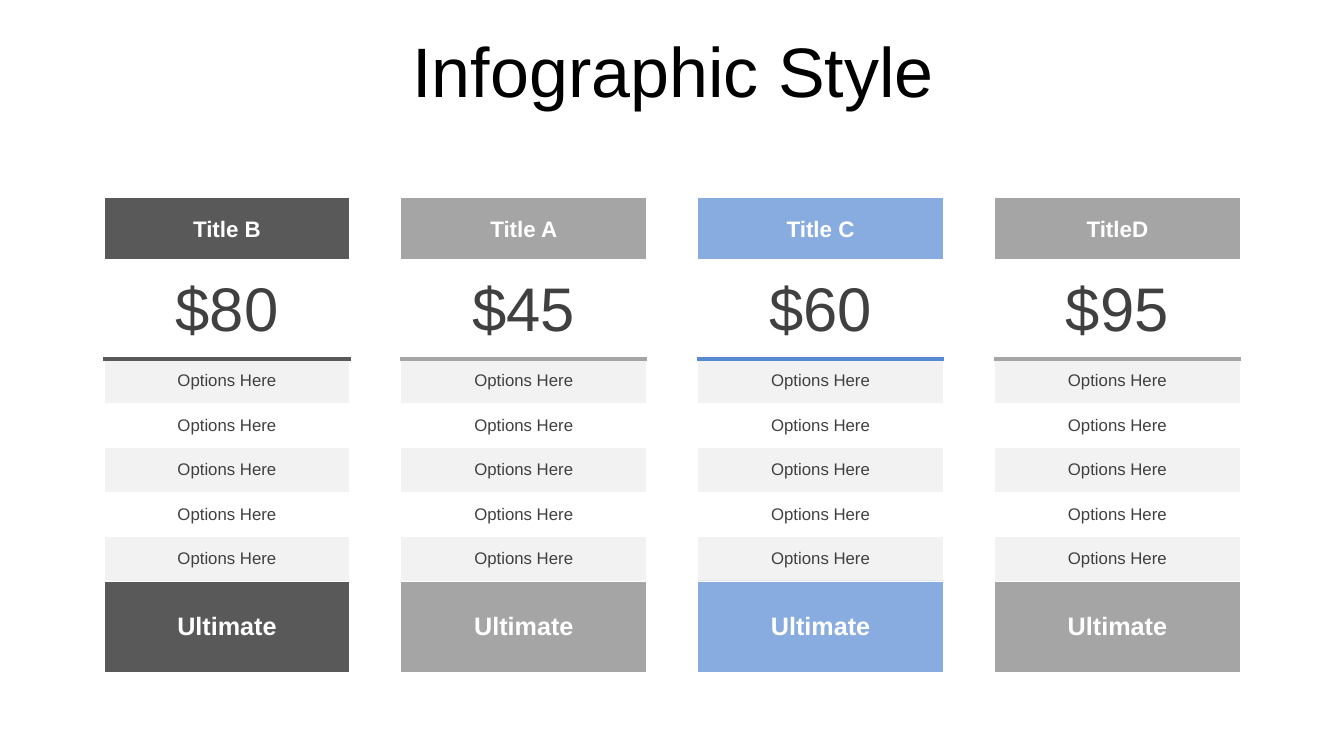
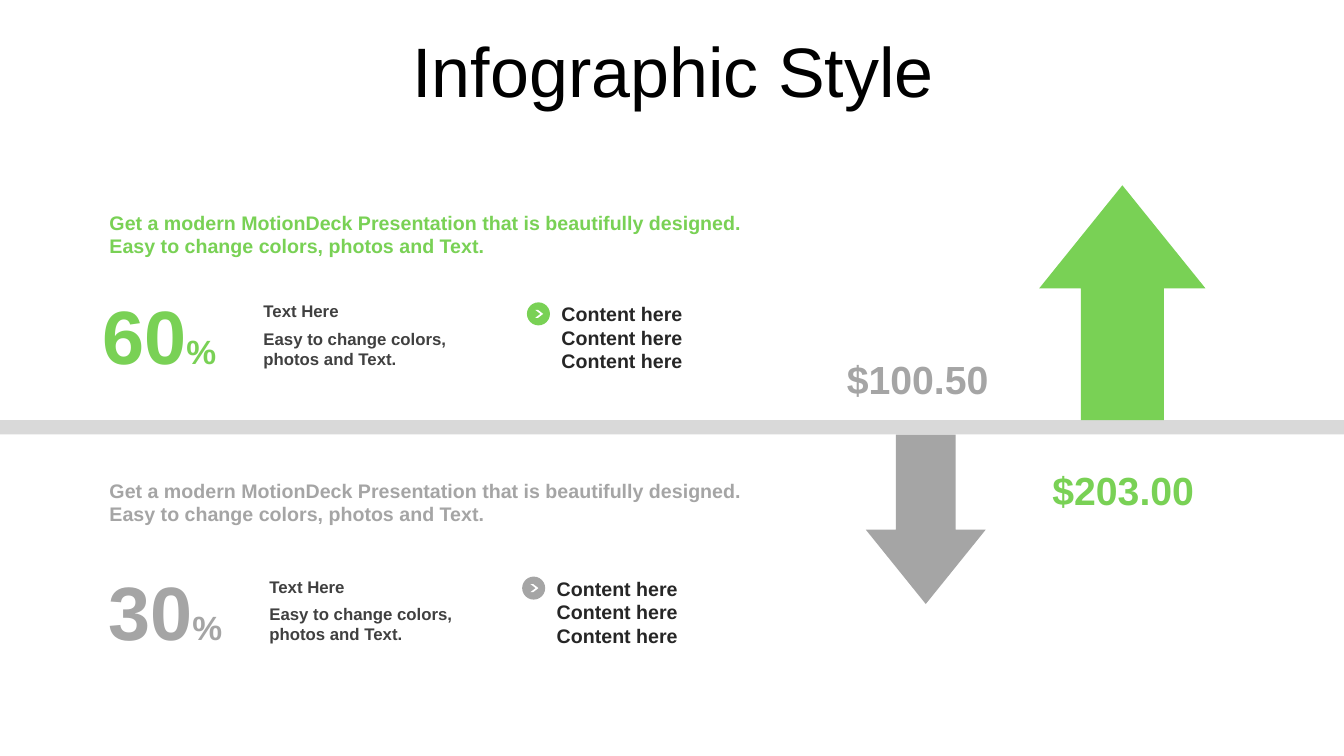
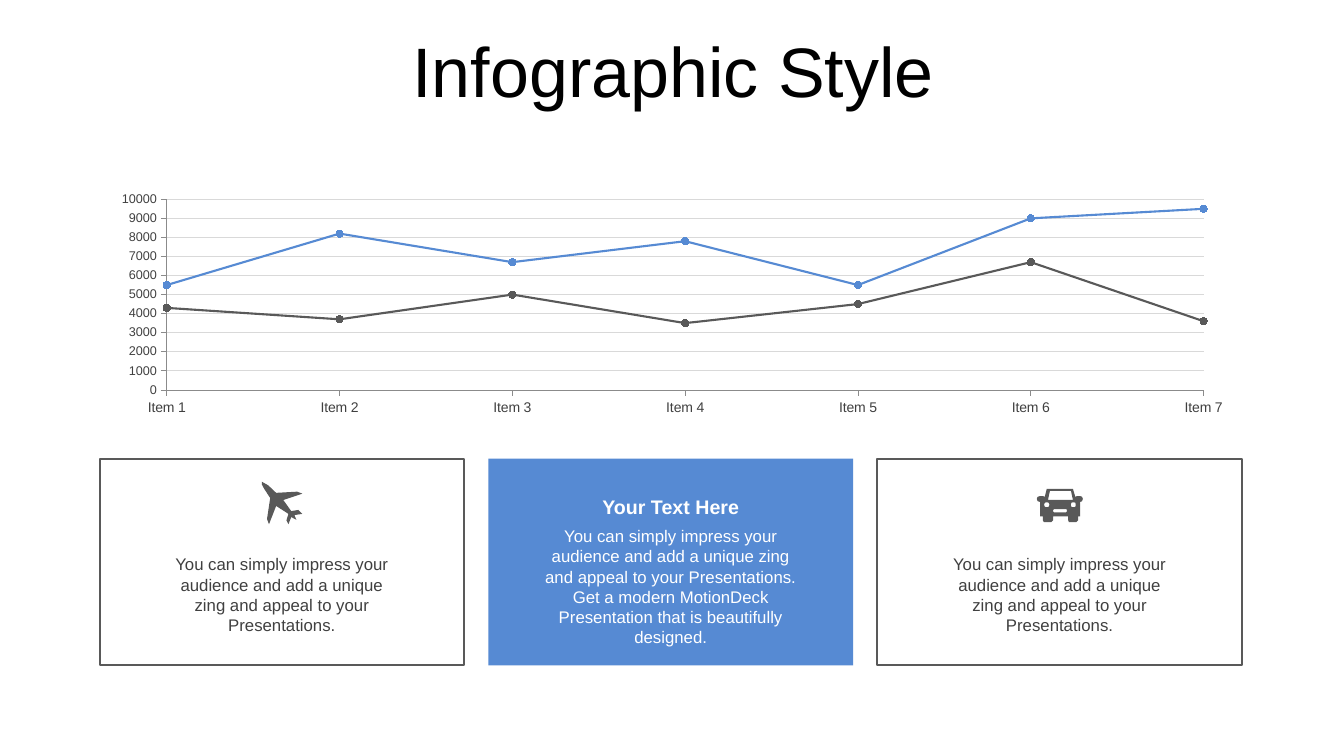
from math import cos, pi, sin

from lxml.etree import SubElement
from pptx import Presentation
from pptx.chart.data import CategoryChartData
from pptx.dml.color import RGBColor
from pptx.enum.chart import XL_CHART_TYPE, XL_MARKER_STYLE, XL_TICK_MARK
from pptx.enum.shapes import MSO_SHAPE
from pptx.enum.text import MSO_ANCHOR, MSO_AUTO_SIZE, PP_ALIGN
from pptx.oxml.ns import qn
from pptx.util import Cm, Pt

FONT = "Arial"
COLORS = {
    "black": "000000", "ink": "262626", "text": "404040", "dark": "595959",
    "axis": "8B8B8B", "gray": "A5A5A5", "band": "D9D9D9", "stripe": "F2F2F2",
    "white": "FFFFFF", "blue": "568AD3", "green": "79D155",
}
SLIDE_W, SLIDE_H = 33.87, 19.05
TITLE = "Infographic Style"

# Pricing: heading, price, color, opacity of the heading and footer fill
PLANS = [
    ("Title B", "$80", "dark", 100),
    ("Title A", "$45", "gray", 100),
    ("Title C", "$60", "blue", 70),
    ("TitleD", "$95", "gray", 100),
]
OPTIONS = ["Options Here"] * 5
PLAN_FOOTER = "Ultimate"

# Comparison: percentage, color, lead top, corner of the percentage, corner of the badge
PANELS = [
    ("60", "green", 5.18, (2.21, 7.16), (13.28, 7.62)),
    ("30", "gray", 11.94, (2.36, 14.1), (13.16, 14.53)),
]
LEAD = ("Get a modern MotionDeck Presentation that is beautifully designed. "
        "Easy to change colors, photos and Text.")
STAT_LABEL = "Text Here"
STAT_NOTE = "Easy to change colors, photos and Text."
CONTENTS = ["Content here"] * 3
ARROWS = [
    ("green", (26.19, 4.67, 4.19, 5.92), 0),
    ("gray", (21.82, 10.95, 3.02, 4.27), 180),
]
AMOUNTS = [("$100.50", "gray", (20.7, 8.81)), ("$203.00", "green", (25.88, 11.61))]

# Trend
ITEMS = [f"Item {n}" for n in range(1, 8)]
TRENDS = [
    ("Series 1", "dark", (4300, 3700, 5000, 3500, 4500, 6700, 3600)),
    ("Series 2", "blue", (5500, 8200, 6700, 7800, 5500, 9000, 9500)),
]
PITCH = ("You can simply impress your audience and add a unique zing "
         "and appeal to your Presentations.")
HIGHLIGHT_HEADING = "Your Text Here"
HIGHLIGHT = PITCH + " Get a modern MotionDeck Presentation that is beautifully designed."


def headlight(x, y, radius=6.5, steps=16):
    return [(x + radius * cos(2 * pi * k / steps), y + radius * sin(2 * pi * k / steps))
            for k in range(steps)]


# Icon outlines, in hundredths of a centimetre
PLANE = [[
    (104, 81), (84, 84), (89, 96), (76, 89), (69, 107), (64, 97), (69, 81),
    (38, 61), (20, 107), (15, 94), (23, 41), (8, 18), (2, 7), (2, 0), (18, 9),
    (38, 28), (91, 25), (104, 30), (56, 46), (76, 74), (94, 71),
]]
CAR = [
    [(25, 0), (91, 0), (97, 20), (102, 18), (109, 18), (114, 20), (116, 25),
     (114, 31), (109, 33), (109, 69), (104, 69), (104, 79), (99, 84), (81, 84),
     (79, 79), (79, 69), (41, 69), (41, 79), (36, 84), (18, 84), (15, 79),
     (15, 69), (8, 69), (8, 33), (2, 31), (0, 25), (2, 20), (8, 18), (15, 18),
     (20, 20)],
    [(33, 5), (28, 28), (91, 28), (86, 5)],
    [(43, 51), (74, 51), (76, 53), (76, 57), (74, 59), (43, 59), (41, 57), (41, 53)],
    headlight(25, 40),
    headlight(92, 40),
]
ICONS = {0: (PLANE, 1.05, 12.14), 2: (CAR, 1.15, 12.32)}  # outlines, width, top


def rgb(name):
    return RGBColor.from_string(COLORS[name])


def write(frame, paragraphs, color, bold=False, align=PP_ALIGN.LEFT):
    """Fill a text frame; each paragraph is a list of (text, size) runs."""
    for index, runs in enumerate(paragraphs):
        paragraph = frame.add_paragraph() if index else frame.paragraphs[0]
        paragraph.alignment = align
        for text, size in runs:
            run = paragraph.add_run()
            run.text = text
            run.font.name = FONT
            run.font.size = Pt(size)
            run.font.bold = bold
            run.font.color.rgb = rgb(color)


def add_text(slide, box, paragraphs, color, bold=False, align=PP_ALIGN.LEFT,
             anchor=MSO_ANCHOR.TOP):
    frame = slide.shapes.add_textbox(*map(Cm, box)).text_frame
    frame.word_wrap = True
    frame.vertical_anchor = anchor
    write(frame, paragraphs, color, bold, align)


def paint(shape, fill, line=None):
    shape.shadow.inherit = False
    shape.fill.solid()
    shape.fill.fore_color.rgb = rgb(fill)
    if line:
        shape.line.color.rgb = rgb(line)
        shape.line.width = Pt(1.5)
    else:
        shape.line.fill.background()


def add_block(slide, preset, box, fill, line=None, adjustments=()):
    block = slide.shapes.add_shape(preset, *map(Cm, box))
    for index, value in enumerate(adjustments):
        block.adjustments[index] = value
    paint(block, fill, line)
    return block


def add_titled_slide(deck):
    slide = deck.slides.add_slide(deck.slide_layouts[5])
    title = slide.shapes.title
    title.left, title.top, title.width, title.height = map(Cm, (0.89, 0.94, 32.16, 2.01))
    frame = title.text_frame
    frame.auto_size = MSO_AUTO_SIZE.NONE
    frame.word_wrap = True
    frame.vertical_anchor = MSO_ANCHOR.MIDDLE
    frame.margin_top = Cm(0.25)
    write(frame, [[(TITLE, 50)]], "black", align=PP_ALIGN.CENTER)
    frame.paragraphs[0].line_spacing = 0.7
    return slide


def style_cell(cell, fill, opacity, top, bottom):
    """Set the fill and the (color, points) borders above and below."""
    cell.fill.solid()
    cell.fill.fore_color.rgb = rgb(fill)
    properties = cell._tc.get_or_add_tcPr()
    if opacity < 100:
        SubElement(properties.find(".//" + qn("a:srgbClr")), qn("a:alpha"),
                   val=str(opacity * 1000))
    for position, (tag, (color, points)) in enumerate((("a:lnT", top), ("a:lnB", bottom))):
        border = SubElement(properties, qn(tag), w=str(Pt(points)))
        SubElement(SubElement(border, qn("a:solidFill")), qn("a:srgbClr"), val=COLORS[color])
        properties.insert(position, border)


def add_plan(slide, left, heading, price, color, opacity):
    thin, edge = ("white", 0.75), ("white", 4.48)
    rule = (color, 3)
    # text, size, text color, bold, fill, opacity, top border, bottom border, height
    rows = [
        (heading, 16, "white", True, color, opacity, ("white", 0.96), edge, 1.62),
        (price, 44, "text", False, "white", 100, edge, rule, 2.44),
    ]
    for index, option in enumerate(OPTIONS):
        rows.append((option, 12, "text", False, "white" if index % 2 else "stripe", 100,
                     thin if index else rule, thin, 1.12))
    rows.append((PLAN_FOOTER, 18, "white", True, color, opacity, thin, thin, 2.3))

    height = sum(row[-1] for row in rows)
    table = slide.shapes.add_table(len(rows), 1, Cm(left), Cm(4.98), Cm(6.2), Cm(height)).table
    table.first_row = table.horz_banding = False
    for index, (text, size, ink, bold, fill, alpha, top, bottom, tall) in enumerate(rows):
        table.rows[index].height = Cm(tall)
        cell = table.cell(index, 0)
        cell.vertical_anchor = MSO_ANCHOR.MIDDLE
        write(cell.text_frame, [[(text, size)]], ink, bold, PP_ALIGN.CENTER)
        style_cell(cell, fill, alpha, top, bottom)


def build_pricing(deck):
    slide = add_titled_slide(deck)
    for index, plan in enumerate(PLANS):
        add_plan(slide, 2.62 + 7.48 * index, *plan)


def add_panel(slide, percent, color, lead_top, stat, badge):
    add_text(slide, (2.51, lead_top, 16.48, 1.45), [[(LEAD, 14)]], color, True)

    x, y = stat
    add_text(slide, (x, y, 3.61, 2.54), [[(percent, 54), ("%", 24)]], color, True,
             PP_ALIGN.CENTER)
    add_text(slide, (x + 4.18, y + 0.3, 5.26, 0.76), [[(STAT_LABEL, 12)]], "text", True,
             anchor=MSO_ANCHOR.MIDDLE)
    add_text(slide, (x + 4.18, y + 0.99, 5.26, 1.27), [[(STAT_NOTE, 12)]], "text", True)

    x, y = badge
    add_block(slide, MSO_SHAPE.OVAL, (x, y, 0.58, 0.58), color)
    add_block(slide, MSO_SHAPE.CHEVRON, (x + 0.21, y + 0.19, 0.2, 0.2), "white",
              adjustments=(0.65,))
    add_text(slide, (x + 0.62, y - 0.13, 3.8, 2.03), [[(line, 14)] for line in CONTENTS],
             "ink", True, anchor=MSO_ANCHOR.MIDDLE)


def build_comparison(deck):
    slide = add_titled_slide(deck)
    add_block(slide, MSO_SHAPE.RECTANGLE, (0, 10.59, SLIDE_W, 0.36), "band")
    for color, box, rotation in ARROWS:
        arrow = add_block(slide, MSO_SHAPE.UP_ARROW, box, color, adjustments=(0.5, 0.62))
        arrow.rotation = rotation
    for amount, color, corner in AMOUNTS:
        add_text(slide, (*corner, 4.85, 1.45), [[(amount, 28)]], color, True,
                 PP_ALIGN.CENTER, MSO_ANCHOR.MIDDLE)
    for panel in PANELS:
        add_panel(slide, *panel)


def style_axis(axis, size):
    axis.major_tick_mark = XL_TICK_MARK.OUTSIDE
    axis.minor_tick_mark = XL_TICK_MARK.NONE
    axis.format.line.color.rgb = rgb("axis")
    axis.format.line.width = Pt(0.5)
    font = axis.tick_labels.font
    font.name, font.size = FONT, Pt(size)
    font.color.rgb = rgb("text")


def add_trend_chart(slide):
    data = CategoryChartData(number_format="General")
    data.categories = ITEMS
    for name, _, values in TRENDS:
        data.add_series(name, values)
    chart = slide.shapes.add_chart(XL_CHART_TYPE.LINE_MARKERS,
                                   *map(Cm, (2.49, 4.72, 28.9, 5.87)), data).chart
    chart.has_legend = chart.has_title = False
    chart.font.name, chart.font.size = FONT, Pt(10)
    chart.font.color.rgb = rgb("black")
    chart.plots[0].vary_by_categories = False

    style_axis(chart.category_axis, 10)
    scale = chart.value_axis
    style_axis(scale, 9)
    scale.minimum_scale, scale.maximum_scale, scale.major_unit = 0, 10000, 1000
    scale.has_major_gridlines = True
    scale.major_gridlines.format.line.color.rgb = rgb("band")
    scale.major_gridlines.format.line.width = Pt(0.5)
    # Let the lines start on the value axis; the schema wants this before majorUnit
    axis = scale._element
    crossing = SubElement(axis, qn("c:crossBetween"), val="midCat")
    axis.find(qn("c:majorUnit")).addprevious(crossing)

    for series, (_, color, _) in zip(chart.plots[0].series, TRENDS):
        series.smooth = False
        series.format.line.color.rgb = rgb(color)
        series.format.line.width = Pt(1.5)
        marker = series.marker
        marker.style, marker.size = XL_MARKER_STYLE.CIRCLE, 5
        marker.format.fill.solid()
        marker.format.fill.fore_color.rgb = rgb(color)
        marker.format.line.color.rgb = rgb(color)


def add_icon(slide, outlines, left, top):
    builder = slide.shapes.build_freeform(*outlines[0][0], scale=Cm(0.01))
    for index, outline in enumerate(outlines):
        if index:
            builder.move_to(*outline[0])
        builder.add_line_segments(outline[1:], close=True)
    paint(builder.convert_to_shape(Cm(left), Cm(top)), "dark")


def build_trend(deck):
    slide = add_titled_slide(deck)
    add_trend_chart(slide)
    card_w = 9.19
    for index in range(3):
        left = 2.51 + 9.8 * index
        card = (left, 11.56, card_w, 5.21)

        def centered(width):
            return left + (card_w - width) / 2

        if index in ICONS:
            add_block(slide, MSO_SHAPE.RECTANGLE, card, "white", "dark")
            outlines, width, top = ICONS[index]
            add_icon(slide, outlines, centered(width), top)
            add_text(slide, (centered(6.1), 13.84, 6.1, 2.29), [[(PITCH, 12)]], "text",
                     align=PP_ALIGN.CENTER)
        else:
            add_block(slide, MSO_SHAPE.RECTANGLE, card, "blue")
            add_text(slide, (centered(7.32), 12.34, 7.32, 0.84), [[(HIGHLIGHT_HEADING, 14)]],
                     "white", True, PP_ALIGN.CENTER)
            add_text(slide, (centered(7.32), 13.13, 7.32, 3.3), [[(HIGHLIGHT, 12)]],
                     "white", align=PP_ALIGN.CENTER)


def main():
    deck = Presentation()
    deck.slide_width, deck.slide_height = Cm(SLIDE_W), Cm(SLIDE_H)
    build_pricing(deck)
    build_comparison(deck)
    build_trend(deck)
    deck.save("out.pptx")


if __name__ == "__main__":
    main()
